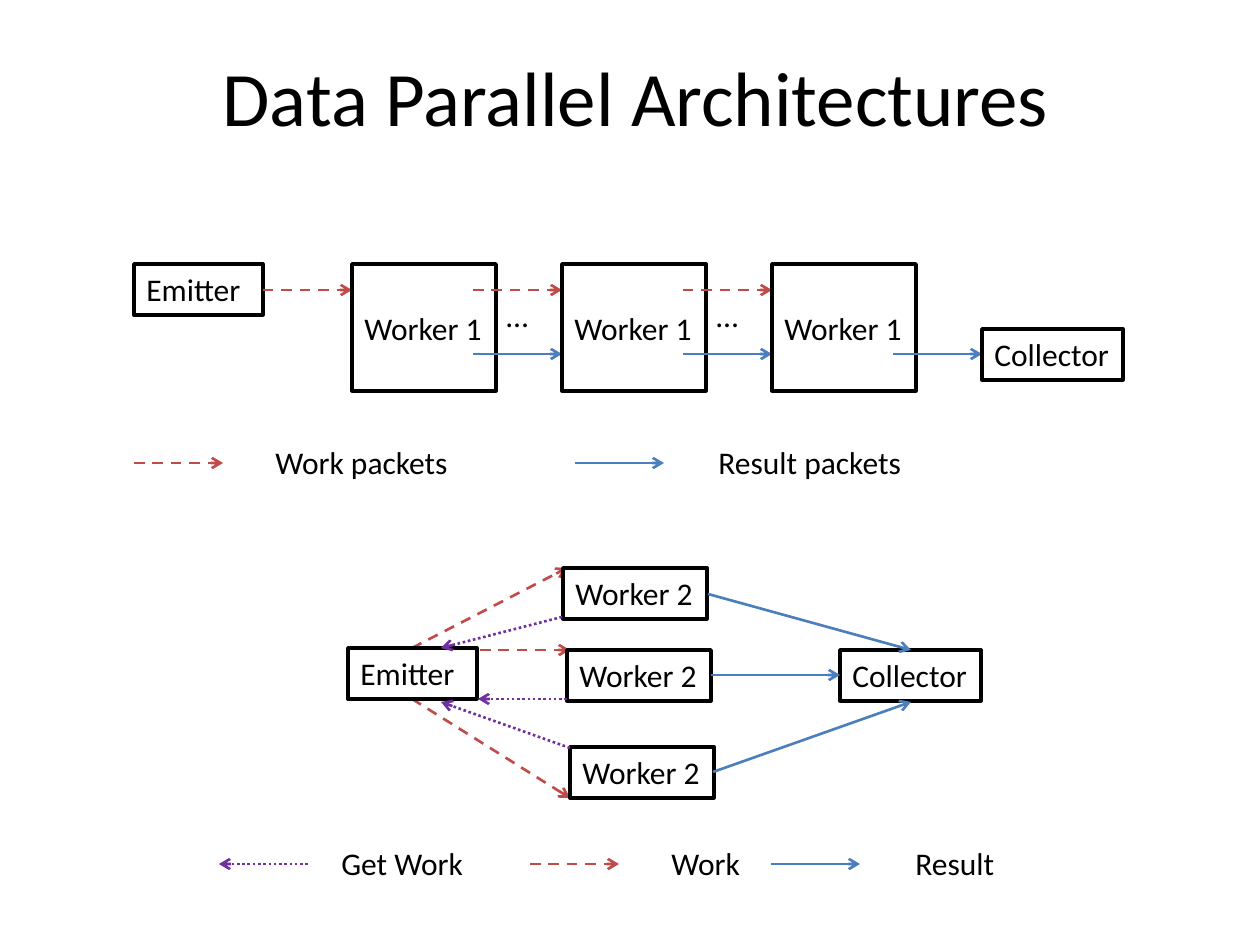
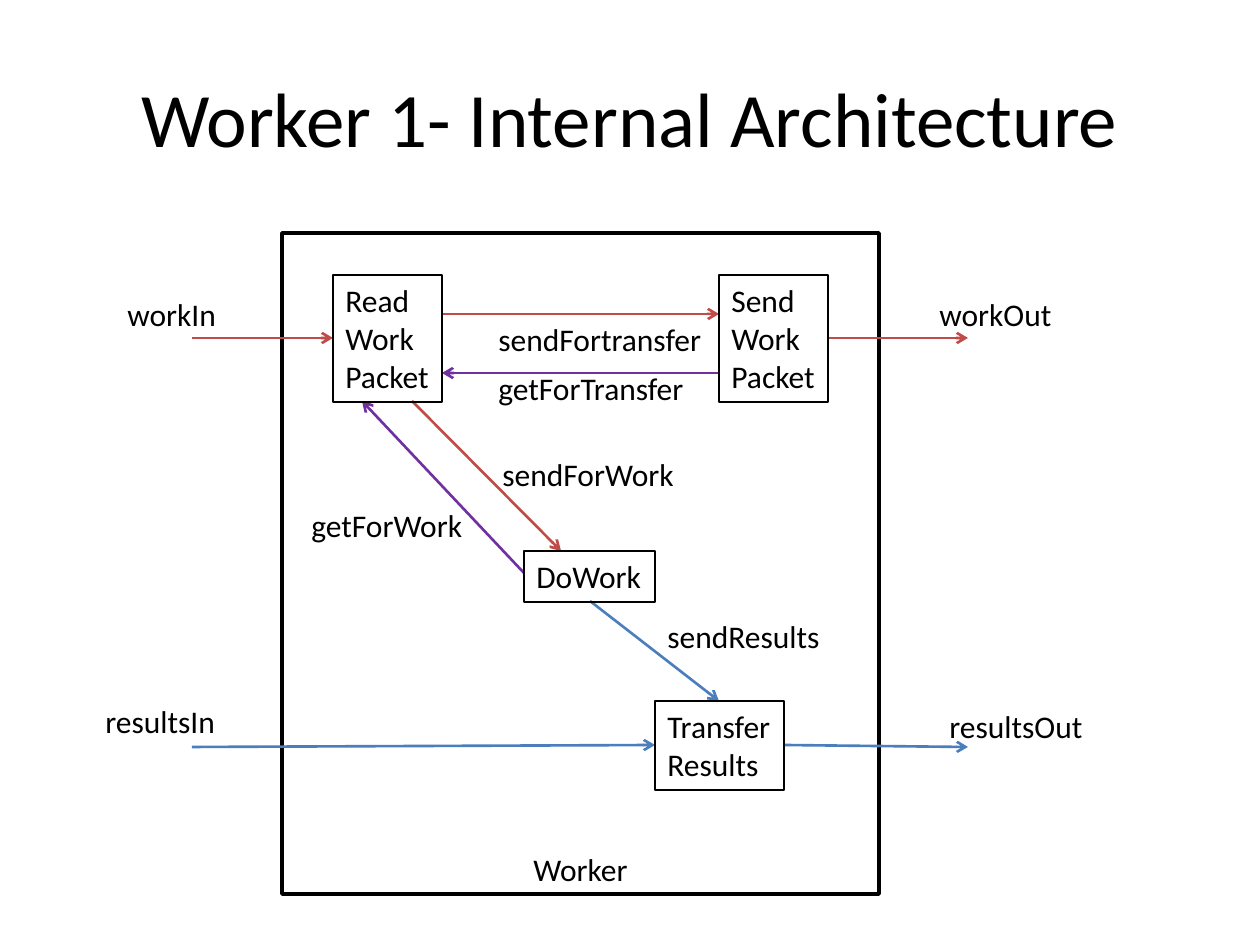
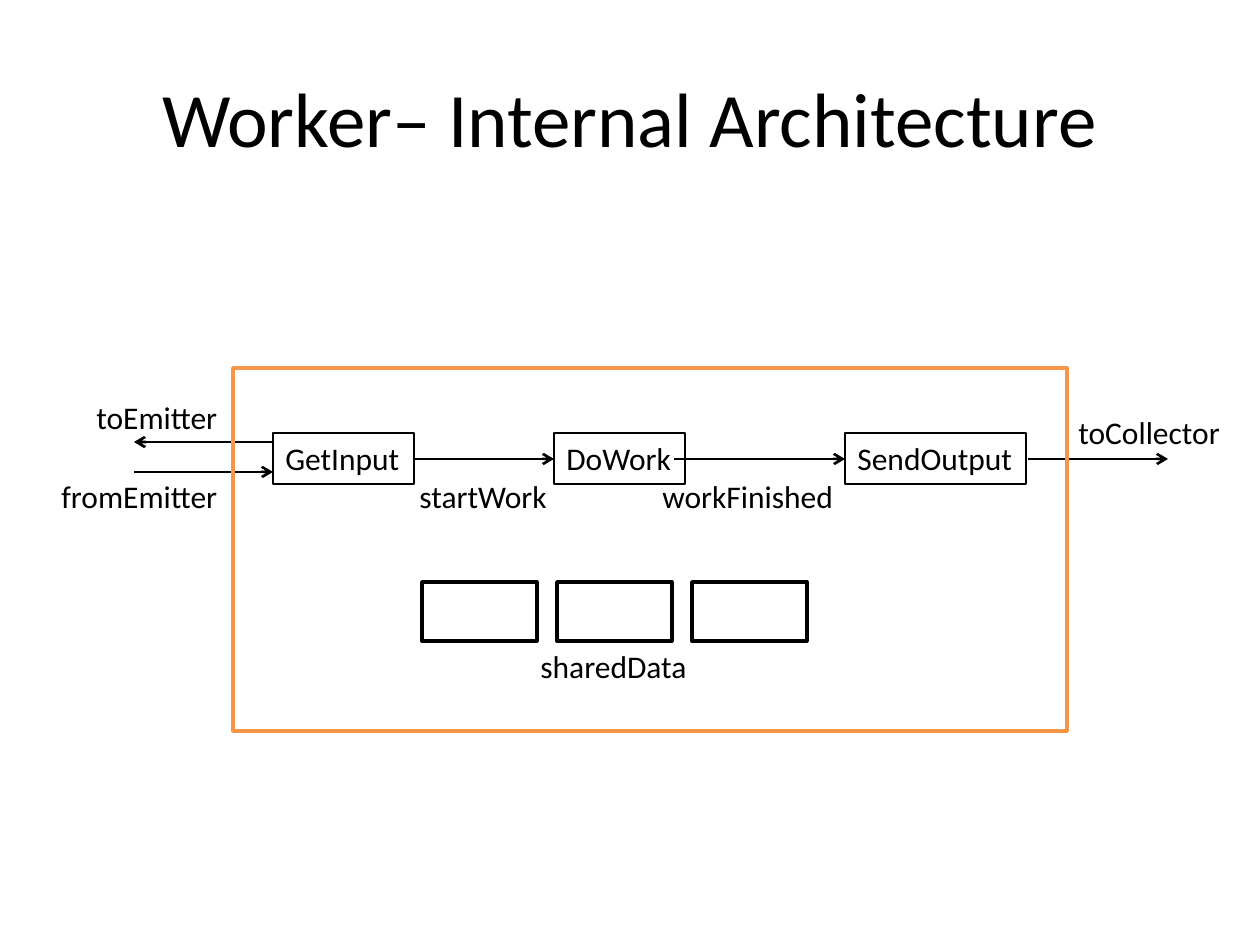
import dataclasses

import lxml.etree
import pptx
import pptx.dml.color
import pptx.enum.dml
import pptx.enum.shapes
import pptx.enum.text
import pptx.oxml.ns
import pptx.util

DASH = pptx.enum.dml.MSO_LINE
ALIGN = pptx.enum.text.PP_ALIGN
ANCHOR = pptx.enum.text.MSO_ANCHOR
SCALE = 914400 / 126
ROW = 51  # height of a one-line box
HOP = 89  # length of a short arrow


@dataclasses.dataclass(frozen=True)
class Theme:
    font: str = "Calibri"
    ink: str = "000000"
    paper: str = "FFFFFF"
    work: str = "BF4C48"
    result: str = "4B7EBC"
    get: str = "7030A0"
    frame: str = "F79646"
    title: int = 44
    body: int = 18
    thin: float = 0.75
    arrow: float = 1.5
    thick: float = 2


THEME = Theme()
WORK = {"color": THEME.work, "dash": DASH.DASH}
RESULT = {"color": THEME.result}
GET = {"color": THEME.get, "dash": DASH.ROUND_DOT}


def emu(*sizes):
    return [round(size * SCALE) for size in sizes]


def rgb(code):
    return pptx.dml.color.RGBColor.from_string(code)


def write(shape, text, size=THEME.body, color=THEME.ink, align=ALIGN.LEFT,
          anchor=ANCHOR.TOP, wrap=False):
    frame = shape.text_frame
    frame.word_wrap = wrap
    frame.vertical_anchor = anchor
    para = frame.paragraphs[0]
    para.text = text
    para.alignment = align
    for run in para.runs:
        run.font.name = THEME.font
        run.font.size = pptx.util.Pt(size)
        run.font.color.rgb = rgb(color)


class Pen:
    """Draws on a slide, with all places relative to one corner."""

    def __init__(self, slide, left, top):
        self.shapes = slide.shapes
        self.left, self.top = left, top

    def place(self, x, y):
        return emu(self.left + x, self.top + y)

    def label(self, text, x, y, wide, high=ROW, **style):
        shape = self.shapes.add_textbox(*self.place(x, y), *emu(wide, high))
        write(shape, text, **style)

    def box(self, text, x, y, wide, high=ROW, line=THEME.thick,
            color=THEME.ink, fill=None, **style):
        kind = pptx.enum.shapes.MSO_SHAPE.RECTANGLE
        shape = self.shapes.add_shape(kind, *self.place(x, y), *emu(wide, high))
        shape.shadow.inherit = False
        if fill:
            shape.fill.solid()
            shape.fill.fore_color.rgb = rgb(fill)
        else:
            shape.fill.background()
        shape.line.color.rgb = rgb(color)
        shape.line.width = pptx.util.Pt(line)
        if text:
            write(shape, text, **style)

    def arrow(self, x1, y1, x2, y2, color=THEME.ink, dash=None):
        kind = pptx.enum.shapes.MSO_CONNECTOR.STRAIGHT
        link = self.shapes.add_connector(
            kind, *self.place(x1, y1), *self.place(x2, y2))
        link.line.color.rgb = rgb(color)
        link.line.width = pptx.util.Pt(THEME.arrow)
        if dash:
            link.line.dash_style = dash
        name = pptx.oxml.ns.qn
        props = link.element.spPr
        head = lxml.etree.SubElement(props.find(name("a:ln")), name("a:tailEnd"))
        head.set("type", "arrow")
        lxml.etree.SubElement(props, name("a:effectLst"))


def start(deck, title, left=63, top=38, high=158):
    """Add a blank slide with its title."""
    slide = deck.slides.add_slide(deck.slide_layouts[6])
    Pen(slide, left, top).label(
        title, 0, 0, 1134, high, size=THEME.title, align=ALIGN.CENTER,
        anchor=ANCHOR.MIDDLE, wrap=True)
    return slide


def chain(pen):
    """Emitter, three workers in a row, and collector."""
    step, first, count = 210, 218, 3
    pen.box("Emitter", 0, 0, 129, fill=THEME.paper, wrap=True)
    for i in range(count):
        x = first + i * step
        pen.arrow(x - HOP, 26, x, 26, **WORK)
        pen.box("Worker 1", x, 0, 144, 127, fill=THEME.paper,
                anchor=ANCHOR.MIDDLE)
        pen.arrow(x + step - HOP, 90, x + step, 90, **RESULT)
        if i < count - 1:
            pen.label("…", x + 142, 26, 48)
    pen.box("Collector", first + count * step, 65, 141, fill=THEME.paper)


def farm(pen):
    """Emitter, three workers side by side, and collector."""
    work = [(64, 80, 219, 0), (132, 82, 222, 82), (64, 131, 222, 230)]
    get = [(214, 49, 93, 80), (219, 131, 130, 131), (222, 180, 93, 134)]
    result = [(360, 26, 563, 82), (363, 107, 492, 107), (365, 204, 563, 134)]
    for ends in work:
        pen.arrow(*ends, **WORK)
    pen.box("Emitter", 0, 80, 129, fill=THEME.paper, wrap=True)
    for x, y in [(215, 0), (219, 82), (222, 179)]:
        pen.box("Worker 2", x, y, 144, fill=THEME.paper)
    pen.box("Collector", 492, 82, 141, fill=THEME.paper)
    for style, group in [(GET, get), (RESULT, result)]:
        for ends in group:
            pen.arrow(*ends, **style)


def legend(pen, items):
    """Each item: text, arrow left, label left, label width, arrow style."""
    for text, x, tx, wide, style in items:
        ends = (x + HOP, x) if style is GET else (x, x + HOP)
        pen.arrow(ends[0], 26, ends[1], 26, **style)
        pen.label(text, tx, 0, wide)


def inside(pen):
    """Parts and links of worker 1."""
    pen.box("Worker", 0, 0, 597, 661, fill=THEME.paper, align=ALIGN.CENTER,
            anchor=ANCHOR.BOTTOM, wrap=True)
    links = {
        THEME.result: [(-90, 514, 373, 512), (502, 512, 686, 514),
                       (308, 368, 437, 468)],
        THEME.work: [(-90, 105, 51, 105), (547, 105, 686, 105),
                     (130, 168, 279, 318), (160, 81, 437, 81)],
        THEME.get: [(242, 340, 80, 168), (437, 140, 160, 140)],
    }
    for color, group in links.items():
        for ends in group:
            pen.arrow(*ends, color=color)
    for part in [("Read\nWork\nPacket", 51, 42, 109, 127),
                 ("Send\nWork\nPacket", 437, 42, 109, 127),
                 ("DoWork", 242, 318, 131),
                 ("Transfer\nResults", 373, 468, 129, 89)]:
        pen.box(*part, line=THEME.thin)
    for name in [("getForTransfer", 204, 130, 213),
                 ("sendFortransfer", 204, 81, 231),
                 ("getForWork", 17, 267, 178),
                 ("sendForWork", 208, 216, 198),
                 ("sendResults", 373, 378, 179),
                 ("workIn", -167, 56, 115),
                 ("workOut", 645, 56, 139),
                 ("resultsIn", -189, 463, 136),
                 ("resultsOut", 655, 468, 160)]:
        pen.label(*name)


def shared(pen):
    """Parts, links and shared data of a worker."""
    for text, x, wide in [("GetInput", 40, 141), ("DoWork", 321, 131),
                          ("SendOutput", 612, 181)]:
        pen.box(text, x, 65, wide, line=THEME.thin)
    for x1, x2, y in [(181, 321, 91), (441, 612, 91), (795, 935, 91),
                      (40, -99, 74), (-99, 40, 104)]:
        pen.arrow(x1, y, x2, y)
    for name in [("startWork", 174, 103, 154),
                 ("workFinished", 417, 103, 198),
                 ("toEmitter", -149, 24, 147),
                 ("fromEmitter", -184, 103, 184),
                 ("toCollector", 833, 39, 169),
                 ("sharedData", 295, 273, 173)]:
        pen.label(*name)
    pen.box("", 0, 0, 834, 363, color=THEME.frame)
    for i in range(3):
        pen.box("", 189 + i * 135, 214, 115, 59)


def main():
    deck = pptx.Presentation()
    deck.slide_width, deck.slide_height = emu(1260, 945)

    slide = start(deck, "Data Parallel Architectures", 69, 37, 118)
    chain(Pen(slide, 134, 264))
    legend(Pen(slide, 134, 437), [
        ("Work packets", 0, 129, 199, WORK),
        ("Result packets", 441, 572, 210, RESULT)])
    farm(Pen(slide, 348, 568))
    legend(Pen(slide, 219, 838), [
        ("Get Work", 0, 110, 149, GET),
        ("Work", 311, 440, 94, WORK),
        ("Result", 552, 684, 105, RESULT)])

    slide = start(deck, "Worker 1- Internal Architecture")
    inside(Pen(slide, 282, 233))

    slide = start(deck, "Worker– Internal Architecture")
    shared(Pen(slide, 233, 368))

    deck.save("out.pptx")


if __name__ == "__main__":
    main()
